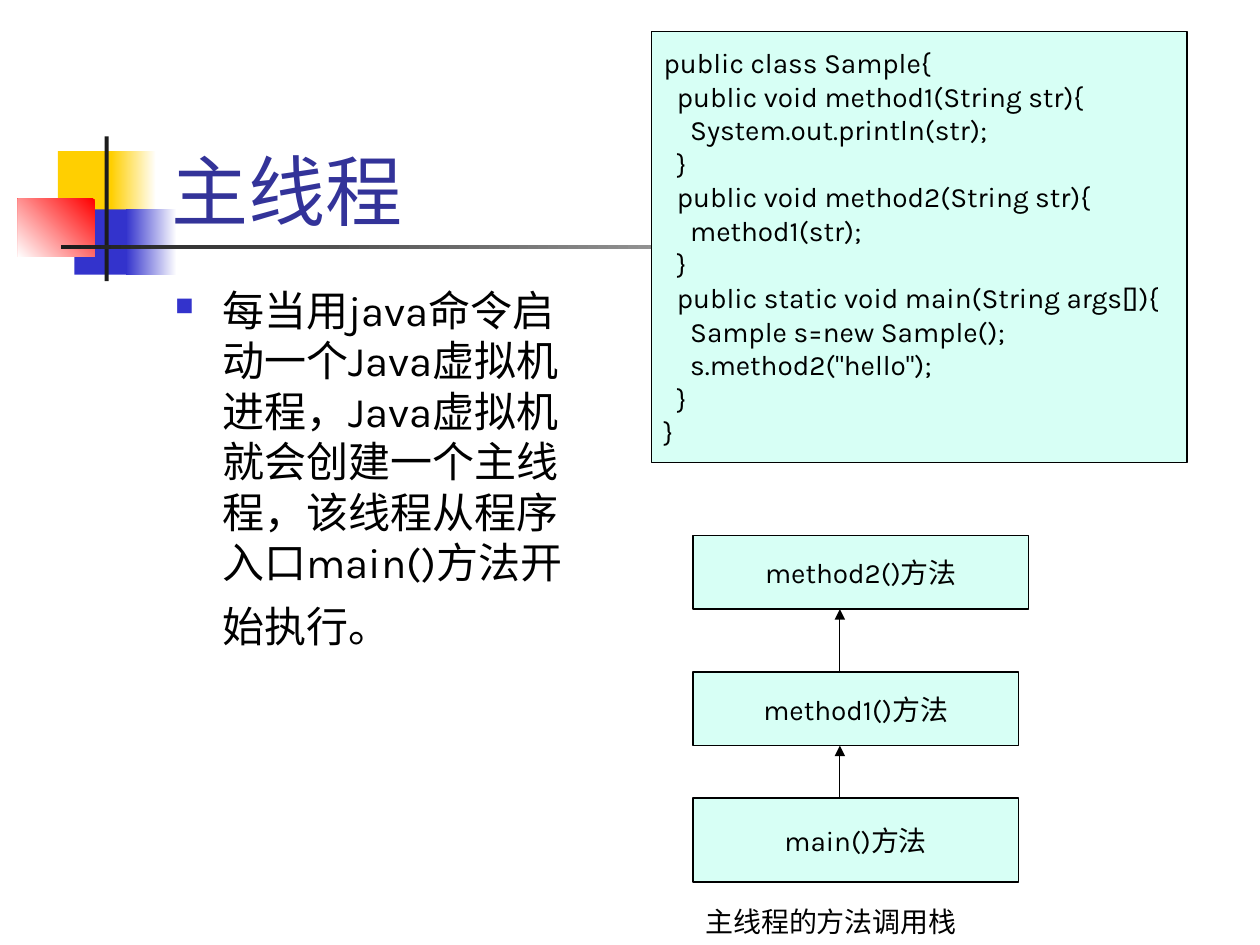
"""Build the slide about the main thread and its method call stack."""
from lxml import etree
from pptx import Presentation
from pptx import util as u
from pptx.dml.color import RGBColor
from pptx.enum import shapes, text
from pptx.oxml import ns

BLACK = RGBColor(0x00, 0x00, 0x00)
WHITE = RGBColor(0xFF, 0xFF, 0xFF)
CHARCOAL = RGBColor(0x1C, 0x1C, 0x1C)
YELLOW = RGBColor(0xFF, 0xCF, 0x01)
BLUE = RGBColor(0x33, 0x33, 0xCC)
RED = RGBColor(0xFF, 0x00, 0x00)
NAVY = RGBColor(0x33, 0x33, 0x99)
MINT = RGBColor(0xD7, 0xFF, 0xF5)

CODE = """public class Sample{
  public void method1(String str){
    System.out.println(str);
  }
  public void method2(String str){
    method1(str);
  }
  public static void main(String args[]){
    Sample s=new Sample();
    s.method2("hello");
  }
}"""


def add_rectangle(slide, left, top, width, height):
    shape = slide.shapes.add_shape(
        shapes.MSO_SHAPE.RECTANGLE, u.Cm(left), u.Cm(top), u.Cm(width), u.Cm(height))
    shape.shadow.inherit = False
    shape.line.fill.background()
    return shape


def write_text(shape, content, size, color, alignment, anchor, wrap):
    frame = shape.text_frame
    frame.text = content
    frame.word_wrap = wrap
    frame.vertical_anchor = anchor
    for paragraph in frame.paragraphs:
        paragraph.alignment = alignment
        for run in paragraph.runs:
            run.font.size = u.Pt(size)
            run.font.name = "Karla"
            run.font.color.rgb = color


presentation = Presentation()
presentation.slide_width = u.Cm(25.4)
presentation.slide_height = u.Cm(19.05)
slide = presentation.slides.add_slide(presentation.slide_layouts[6])

decorations = [
    (1.17, 3.05, 1.22, 1.32, YELLOW, YELLOW, 0),
    (2.24, 3.05, 0.91, 1.32, WHITE, YELLOW, 180),
    (1.5, 4.22, 1.17, 1.32, BLUE, BLUE, 0),
    (2.54, 4.22, 1.02, 1.32, WHITE, BLUE, 180),
    (0.36, 4.01, 1.55, 1.17, RED, WHITE, 225),
    (2.11, 2.75, 0.08, 2.92, CHARCOAL, CHARCOAL, 0),
    (1.23, 4.94, 22.86, 0.09, WHITE, CHARCOAL, 180),
]
for left, top, width, height, first, last, angle in decorations:
    shape = add_rectangle(slide, left, top, width, height)
    if first == last:
        shape.fill.solid()
        shape.fill.fore_color.rgb = first
    else:
        shape.fill.gradient()
        shape.fill.gradient_angle = angle
        for stop, color in zip(shape.fill.gradient_stops, (first, last)):
            stop.color.rgb = color
        for stop, position in zip(shape.fill.gradient_stops, (0, 1)):
            stop.position = position

title = slide.shapes.add_textbox(u.Cm(3.2), u.Cm(1.7), u.Cm(21.64), u.Cm(3.18))
write_text(title, "主线程", 44, NAVY, text.PP_ALIGN.LEFT, text.MSO_ANCHOR.BOTTOM, True)

body = slide.shapes.add_textbox(u.Cm(3.28), u.Cm(5.61), u.Cm(8.99), u.Cm(11.43))
body.text_frame.word_wrap = True
paragraph = body.text_frame.paragraphs[0]
properties = paragraph._p.get_or_add_pPr()
properties.set("marL", str(u.Cm(0.95)))
properties.set("indent", str(u.Cm(-0.95)))
bullet_color = etree.SubElement(properties, ns.qn("a:buClr"))
etree.SubElement(bullet_color, ns.qn("a:srgbClr")).set("val", str(BLUE))
etree.SubElement(properties, ns.qn("a:buSzPct")).set("val", "60000")
etree.SubElement(properties, ns.qn("a:buChar")).set("char", "■")
body_runs = [
    ("每当用", "Times New Roman", 24),
    ("java", "Karla", 24),
    ("命令启动一个", "Times New Roman", 24),
    ("Java", "Karla", 24),
    ("虚拟机进程，", "Times New Roman", 24),
    ("Java", "Karla", 24),
    ("虚拟机就会创建一个主线程，该线程从程序入口", "Times New Roman", 24),
    ("main()", "Karla", 24),
    ("方法开始执行。", "Times New Roman", 24),
    (" ", "Karla", 32),
]
for content, font_name, size in body_runs:
    run = paragraph.add_run()
    run.text = content
    run.font.name = font_name
    run.font.size = u.Pt(size)
    run.font.color.rgb = BLACK

boxes = [
    (CODE, 13.13, 0.64, 10.8, 8.68, text.PP_ALIGN.LEFT),
    ("main()方法", 13.97, 16.09, 6.56, 1.69, text.PP_ALIGN.CENTER),
    ("method1()方法", 13.97, 13.55, 6.56, 1.48, text.PP_ALIGN.CENTER),
    ("method2()方法", 13.97, 10.8, 6.77, 1.48, text.PP_ALIGN.CENTER),
]
for content, left, top, width, height, alignment in boxes:
    shape = add_rectangle(slide, left, top, width, height)
    shape.fill.solid()
    shape.fill.fore_color.rgb = MINT
    shape.line.color.rgb = BLACK
    shape.line.width = u.Pt(0.75)
    write_text(shape, content, 16, BLACK, alignment, text.MSO_ANCHOR.MIDDLE, False)

for start, end in [(16.09, 15.03), (13.55, 12.28)]:
    arrow = slide.shapes.add_connector(
        shapes.MSO_CONNECTOR.STRAIGHT, u.Cm(16.93), u.Cm(start), u.Cm(16.93), u.Cm(end))
    arrow.line.color.rgb = BLACK
    arrow.line.width = u.Pt(0.75)
    etree.SubElement(arrow.line._get_or_add_ln(), ns.qn("a:tailEnd")).set("type", "triangle")
    etree.SubElement(arrow._element.spPr, ns.qn("a:effectLst"))

caption = slide.shapes.add_textbox(u.Cm(13.97), u.Cm(18.1), u.Cm(11.43), u.Cm(0.94))
write_text(caption, "主线程的方法调用栈", 16, BLACK, text.PP_ALIGN.LEFT, text.MSO_ANCHOR.TOP, True)

presentation.save("out.pptx")
